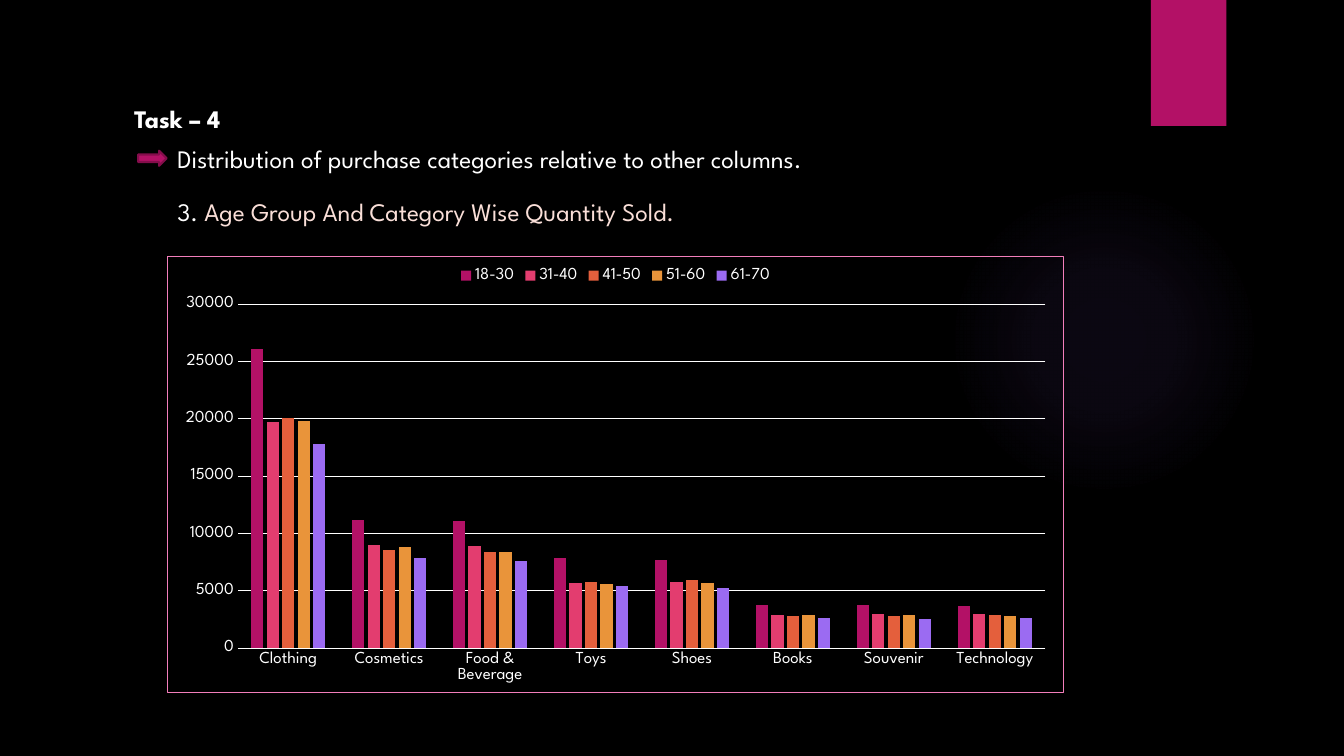
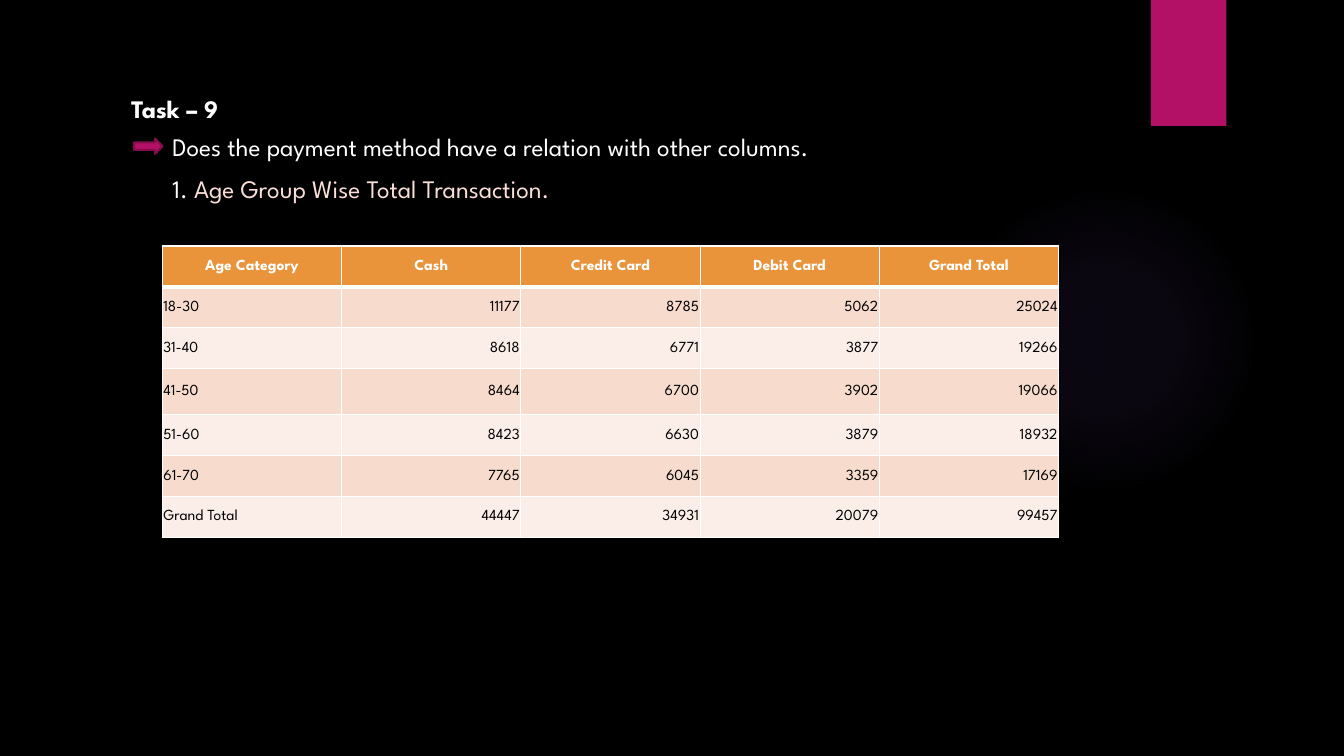
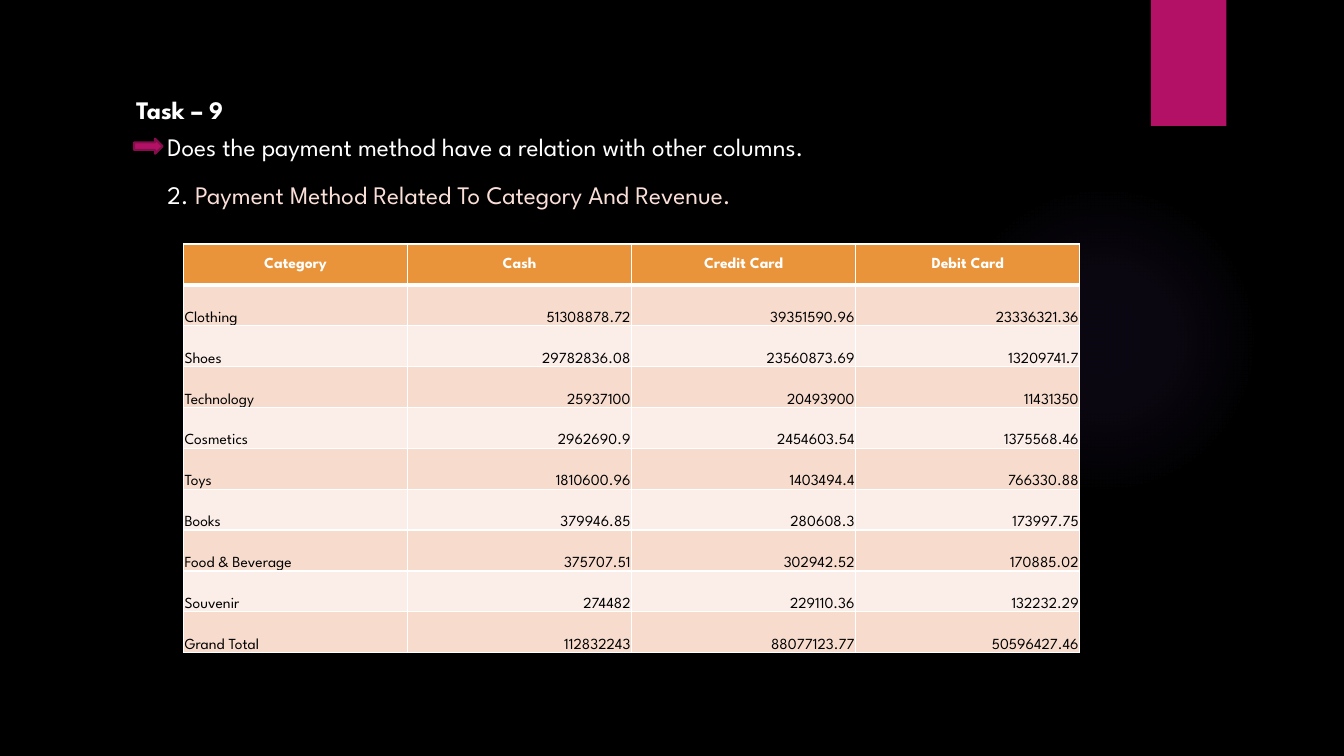
import collections

import pptx
import pptx.chart.data
import pptx.dml.color
import pptx.enum.chart
import pptx.enum.shapes
import pptx.enum.text
import pptx.oxml
import pptx.oxml.ns
import pptx.util

FONT = "League Spartan"
COLORS = {
    "background": "000000", "text": "FFFFFF", "accent": "B31166",
    "accent_dark": "840D4B", "finding": "FADFD8", "glow": "9B6BF2",
    "chart_border": "F37EBB", "header": "E9943A", "odd_row": "F7DCCE",
    "even_row": "FBEEE8", "cell_text": "000000",
}
SERIES_COLORS = ["B31166", "E33D6F", "E45F3C", "E9943A", "9B6BF2"]

# Grid: 160 columns by 90 rows of square units
WIDTH, HEIGHT = pptx.util.Inches(13.33), pptx.util.Inches(7.5)
UNIT = HEIGHT / 90
TEXT_HEIGHT = 4.8
CONTENT_WIDTH = 106.68
ROW_HEIGHT = 4.87

Box = collections.namedtuple("Box", "left top width height")
DRAWING = pptx.oxml.ns.nsdecls("a")
SHAPES = pptx.enum.shapes.MSO_SHAPE
ALIGN = pptx.enum.text.PP_ALIGN
ANCHOR = pptx.enum.text.MSO_ANCHOR


def units(value):
    return pptx.util.Emu(round(value * UNIT))


def place(box):
    return [units(value) for value in box]


def color(name):
    return pptx.dml.color.RGBColor.from_string(COLORS.get(name, name))


def fill_solid(fill, name):
    fill.solid()
    fill.fore_color.rgb = color(name)


def set_font(font, size, name, bold=False):
    font.name = FONT
    font.size = pptx.util.Pt(size)
    font.bold = bold
    font.color.rgb = color(name)


def set_line(line, name, width):
    fill_solid(line.fill, name)
    line.width = pptx.util.Pt(width)


def add_shape(slide, kind, box, fill):
    shape = slide.shapes.add_shape(kind, *place(box))
    shape.shadow.inherit = False
    fill_solid(shape.fill, fill)
    shape.line.fill.background()
    return shape


# Shared design: black master, soft glow and accent band on the layout
def decorate_layout(layout, slide):
    glow = add_shape(slide, SHAPES.OVAL, Box(112.92, 21.96, 36.96, 36.96), "glow")
    stops = "".join(
        f'<a:gs pos="{position * 1000}"><a:srgbClr val="{COLORS["glow"]}">'
        f'<a:alpha val="{alpha * 1000}"/></a:srgbClr></a:gs>'
        for position, alpha in [(0, 7), (36, 6), (69, 0), (100, 0)])
    gradient = pptx.oxml.parse_xml(
        f'<a:gradFill {DRAWING} rotWithShape="1"><a:gsLst>{stops}</a:gsLst>'
        '<a:path path="circle"><a:fillToRect l="50000" t="50000" r="50000" b="50000"/>'
        '</a:path></a:gradFill>')
    properties = glow._element.spPr
    properties.replace(properties.find(pptx.oxml.ns.qn("a:solidFill")), gradient)

    band = add_shape(slide, SHAPES.RECTANGLE, Box(136.96, 0, 9, 15), "accent")
    effects = band._element.spPr.find(pptx.oxml.ns.qn("a:effectLst"))
    effects.append(pptx.oxml.parse_xml(
        f'<a:outerShdw {DRAWING} blurRad="38100" dist="25400" dir="5400000" rotWithShape="0">'
        '<a:srgbClr val="000000"><a:alpha val="45000"/></a:srgbClr></a:outerShdw>'))
    for shape in (glow, band):
        layout.shapes._spTree.append(shape._element)


# Heading: task title, arrow with question, numbered finding
def fill_placeholder(shape, box, runs, bold=False):
    shape.left, shape.top, shape.width, shape.height = place(box)
    frame = shape.text_frame
    frame.word_wrap = True
    frame.auto_size = pptx.enum.text.MSO_AUTO_SIZE.NONE
    frame.vertical_anchor = ANCHOR.TOP
    paragraph = frame.paragraphs[0]
    paragraph.alignment = ALIGN.LEFT
    paragraph.space_before = pptx.util.Pt(0)
    properties = paragraph._p.get_or_add_pPr()
    properties.set("marL", "0")
    properties.set("indent", "0")
    properties.append(pptx.oxml.parse_xml(f"<a:buNone {DRAWING}/>"))
    for text, name in runs:
        run = paragraph.add_run()
        run.text = text
        set_font(run.font, 18, name, bold)


def add_heading(slide, title_at, question_at, finding_top, arrow_left,
                task, question, number, finding):
    title, question_body, finding_body = slide.placeholders
    left, top = question_at
    fill_placeholder(title, Box(*title_at, 14, TEXT_HEIGHT), [(task, "text")], bold=True)
    fill_placeholder(question_body, Box(left, top, 100, TEXT_HEIGHT), [(question, "text")])
    fill_placeholder(finding_body, Box(left, finding_top, 100, TEXT_HEIGHT),
                     [(number + " ", "text"), (finding, "finding")])
    arrow = add_shape(slide, SHAPES.RIGHT_ARROW, Box(arrow_left, top + 1.5, 3.4, 1.8), "accent")
    set_line(arrow.line, "accent_dark", 1.5)


def add_column_chart(slide, box, categories, series):
    data = pptx.chart.data.CategoryChartData()
    data.categories = categories
    for name, values in series.items():
        data.add_series(name, values)
    chart = slide.shapes.add_chart(
        pptx.enum.chart.XL_CHART_TYPE.COLUMN_CLUSTERED, *place(box), data).chart
    set_font(chart.font, 10, "text")
    chart.has_title = False
    chart.has_legend = True
    chart.legend.position = pptx.enum.chart.XL_LEGEND_POSITION.TOP
    chart.legend.include_in_layout = False
    set_font(chart.legend.font, 12, "text")

    plot = chart.plots[0]
    plot.gap_width, plot.overlap, plot.vary_by_categories = 219, -27, False
    for item, name in zip(plot.series, SERIES_COLORS):
        fill_solid(item.format.fill, name)

    for axis in (chart.category_axis, chart.value_axis):
        axis.major_tick_mark = axis.minor_tick_mark = pptx.enum.chart.XL_TICK_MARK.NONE
        set_font(axis.tick_labels.font, 12, "text")
    set_line(chart.category_axis.format.line, "text", 0.75)
    value_axis = chart.value_axis
    value_axis.minimum_scale, value_axis.maximum_scale, value_axis.major_unit = 0, 30000, 5000
    value_axis.format.line.fill.background()
    value_axis.has_major_gridlines = True
    set_line(value_axis.major_gridlines.format.line, "text", 0.75)

    border = pptx.oxml.parse_xml(
        f'<c:spPr {pptx.oxml.ns.nsdecls("c", "a")}><a:noFill/><a:ln w="9525"><a:solidFill>'
        f'<a:srgbClr val="{COLORS["chart_border"]}"/></a:solidFill></a:ln></c:spPr>')
    chart._chartSpace.find(pptx.oxml.ns.qn("c:chart")).addnext(border)


def set_borders(cell, top, bottom):
    properties = cell._tc.get_or_add_tcPr()
    for index, (side, width) in enumerate([("L", 1), ("R", 1), ("T", top), ("B", bottom)]):
        properties.insert(index, pptx.oxml.parse_xml(
            f'<a:ln{side} {DRAWING} w="{width * 12700}"><a:solidFill>'
            f'<a:srgbClr val="{COLORS["text"]}"/></a:solidFill></a:ln{side}>'))


def add_data_table(slide, left, top, rows, body_anchor, tall_rows=()):
    heights = [5.47 if index in tall_rows else ROW_HEIGHT for index in range(len(rows))]
    box = Box(left, top, CONTENT_WIDTH, sum(heights))
    table = slide.shapes.add_table(len(rows), len(rows[0]), *place(box)).table
    table.first_row = table.horz_banding = False
    for column in table.columns:
        column.width = units(CONTENT_WIDTH / len(rows[0]))
    for row_index, values in enumerate(rows):
        table.rows[row_index].height = units(heights[row_index])
        is_header = row_index == 0
        band = "header" if is_header else "odd_row" if row_index % 2 else "even_row"
        for column_index, value in enumerate(values):
            cell = table.cell(row_index, column_index)
            cell.margin_left = cell.margin_right = cell.margin_top = units(0.12)
            cell.margin_bottom = 0
            cell.vertical_anchor = ANCHOR.MIDDLE if is_header else body_anchor
            fill_solid(cell.fill, band)
            set_borders(cell, 3 if row_index == 1 else 1, 3 if is_header else 1)
            cell.text_frame.text = value
            paragraph = cell.text_frame.paragraphs[0]
            paragraph.alignment = (ALIGN.CENTER if is_header
                                   else ALIGN.RIGHT if column_index else ALIGN.LEFT)
            set_font(paragraph.runs[0].font, 11, "text" if is_header else "cell_text", is_header)


CATEGORIES = ["Clothing", "Cosmetics", "Food & Beverage", "Toys", "Shoes", "Books",
              "Souvenir", "Technology"]
QUANTITIES = {
    "18-30": [26100, 11200, 11100, 7900, 7700, 3800, 3800, 3700],
    "31-40": [19700, 9000, 8900, 5700, 5800, 2900, 3000, 3000],
    "41-50": [20100, 8600, 8400, 5800, 5900, 2800, 2800, 2900],
    "51-60": [19800, 8800, 8400, 5600, 5700, 2900, 2900, 2800],
    "61-70": [17800, 7900, 7600, 5400, 5200, 2600, 2500, 2600],
}
TRANSACTIONS = [
    ["Age Category", "Cash", "Credit Card", "Debit Card", "Grand Total"],
    ["18-30", "11177", "8785", "5062", "25024"],
    ["31-40", "8618", "6771", "3877", "19266"],
    ["41-50", "8464", "6700", "3902", "19066"],
    ["51-60", "8423", "6630", "3879", "18932"],
    ["61-70", "7765", "6045", "3359", "17169"],
    ["Grand Total", "44447", "34931", "20079", "99457"],
]
REVENUES = [
    ["Category", "Cash", "Credit Card", "Debit Card"],
    ["Clothing", "51308878.72", "39351590.96", "23336321.36"],
    ["Shoes", "29782836.08", "23560873.69", "13209741.7"],
    ["Technology", "25937100", "20493900", "11431350"],
    ["Cosmetics", "2962690.9", "2454603.54", "1375568.46"],
    ["Toys", "1810600.96", "1403494.4", "766330.88"],
    ["Books", "379946.85", "280608.3", "173997.75"],
    ["Food & Beverage", "375707.51", "302942.52", "170885.02"],
    ["Souvenir", "274482", "229110.36", "132232.29"],
    ["Grand Total", "112832243", "88077123.77", "50596427.46"],
]
PAYMENT_QUESTION = "Does the payment method have a relation with other columns."


def main():
    presentation = pptx.Presentation()
    presentation.slide_width, presentation.slide_height = WIDTH, HEIGHT
    fill_solid(presentation.slide_master.background.fill, "background")
    layout = presentation.slide_layouts.get_by_name("Two Content")
    quantity, transaction, revenue = [presentation.slides.add_slide(layout) for _ in range(3)]
    decorate_layout(layout, quantity)

    # Quantity sold by age group and category
    add_heading(quantity, (14.76, 11.64), (19.92, 16.44), 22.8, 16.44, "Task – 4",
                "Distribution of purchase categories relative to other columns.",
                "3.", "Age Group And Category Wise Quantity Sold.")
    add_column_chart(quantity, Box(19.92, 30.48, CONTENT_WIDTH, 52), CATEGORIES, QUANTITIES)

    # Transactions by age group
    add_heading(transaction, (14.4, 10.56), (19.32, 15), 20.04, 15.96, "Task – 9",
                PAYMENT_QUESTION, "1.", "Age Group Wise Total Transaction.")
    add_data_table(transaction, 19.32, 29.28, TRANSACTIONS, ANCHOR.MIDDLE, tall_rows=(3,))

    # Revenue by category and payment method
    add_heading(revenue, (15, 10.68), (18.72, 15), 20.76, 15.96, "Task – 9",
                PAYMENT_QUESTION, "2.", "Payment Method Related To Category And Revenue.")
    add_data_table(revenue, 21.84, 29.04, REVENUES, ANCHOR.BOTTOM)

    presentation.save("out.pptx")


if __name__ == "__main__":
    main()
